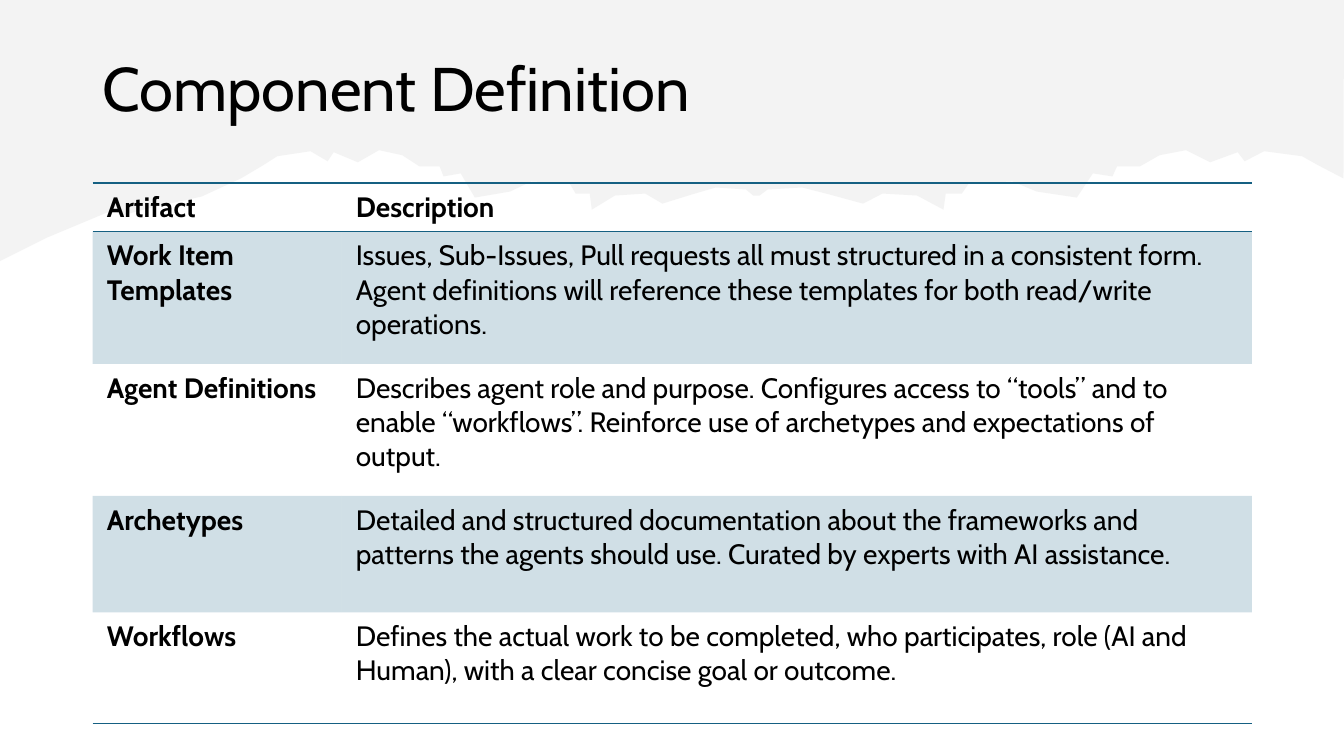
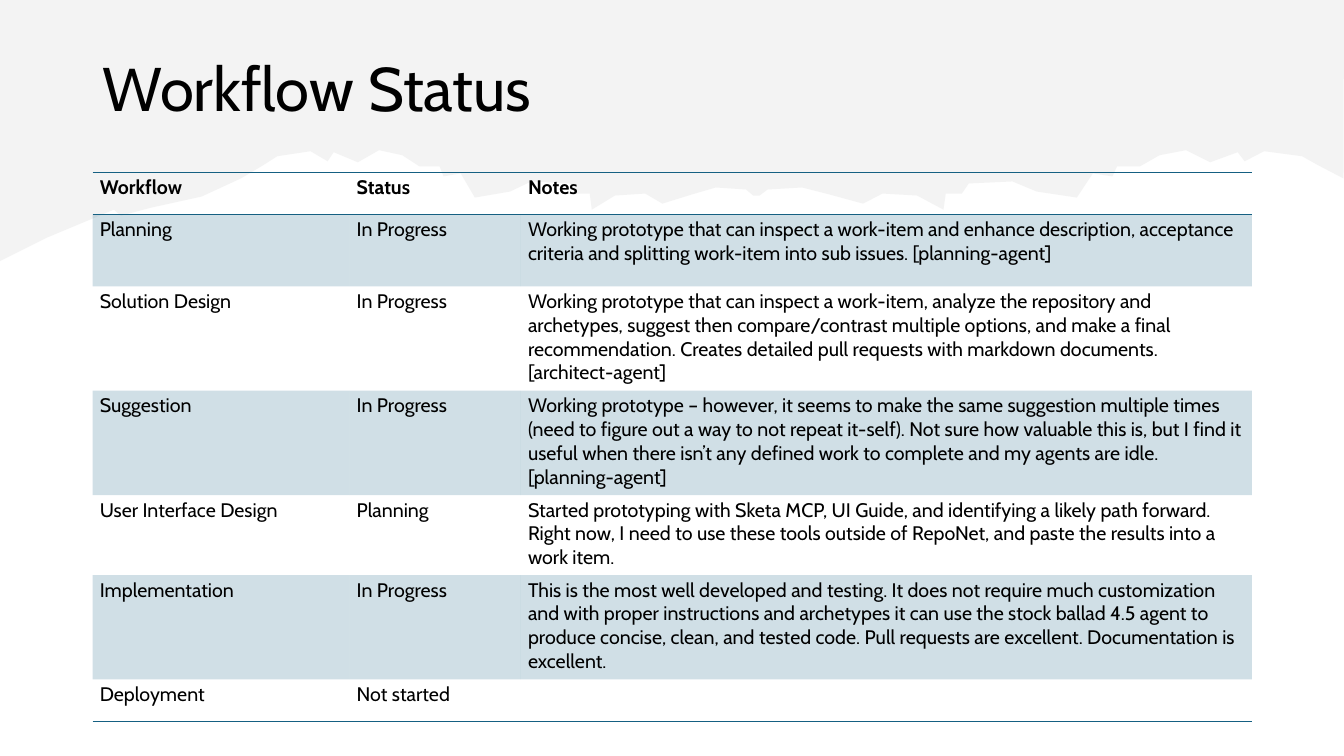
"""Build two table slides that share a torn-paper header."""
from lxml.etree import SubElement
from pptx import Presentation
from pptx.dml.color import RGBColor
from pptx.enum.text import MSO_ANCHOR
from pptx.oxml import parse_xml
from pptx.oxml.ns import nsdecls, qn
from pptx.util import Inches, Pt

SLIDE_WIDTH, SLIDE_HEIGHT = Inches(13.33), Inches(7.5)
LEFT, WIDTH = 6.9, 86.25
FONT = "Cabin"
COLORS = {"ink": "000000", "paper": "E8E8E8", "accent": "156082"}

SLOPE = [(0, 2.59), (0.46, 2.36), (1.13, 2.08), (1.2, 2.14), (1.5, 2.06), (2, 1.95)]
RIDGE = [
    (2.39, 1.77), (2.61, 1.64), (2.75, 1.55), (3.08, 1.5), (3.25, 1.6), (3.31, 1.51),
    (3.55, 1.61), (3.76, 1.49), (3.99, 1.54), (4.16, 1.65), (4.36, 1.65), (4.4, 1.75),
    (4.57, 1.72), (4.71, 1.96), (5.06, 1.9), (5.27, 1.8), (5.65, 1.82), (5.71, 1.92),
    (5.85, 1.92), (5.87, 2.08), (6.1, 1.94), (6.4, 1.92), (6.57, 2.02), (6.86, 1.93),
    (7.1, 1.86), (7.4, 1.88), (7.47, 1.94),
]
MIDDLE, STRETCH = 7.5, 1.14

COMPONENTS = [
    ("Artifact", "Description"),
    ("Work Item Templates",
     "Issues, Sub-Issues, Pull requests all must structured in a consistent form. "
     "Agent definitions will reference these templates for both read/write operations."),
    ("Agent Definitions",
     "Describes agent role and purpose. Configures access to “tools” and to enable "
     "“workflows”. Reinforce use of archetypes and expectations of output."),
    ("Archetypes",
     "Detailed and structured documentation about the frameworks and patterns the "
     "agents should use. Curated by experts with AI assistance."),
    ("Workflows",
     "Defines the actual work to be completed, who participates, role (AI and Human), "
     "with a clear concise goal or outcome."),
]

STATUSES = [
    ("Workflow", "Status", "Notes"),
    ("Planning", "In Progress",
     "Working prototype that can inspect a work-item and enhance description, "
     "acceptance criteria and splitting work-item into sub issues. [planning-agent]"),
    ("Solution Design", "In Progress",
     "Working prototype that can inspect a work-item, analyze the repository and "
     "archetypes, suggest then compare/contrast multiple options, and make a final "
     "recommendation. Creates detailed pull requests with markdown documents. "
     "[architect-agent]"),
    ("Suggestion", "In Progress",
     "Working prototype – however, it seems to make the same suggestion multiple times "
     "(need to figure out a way to not repeat it-self). Not sure how valuable this is, "
     "but I find it useful when there isn’t any defined work to complete and my agents "
     "are idle. [planning-agent]"),
    ("User Interface Design", "Planning",
     "Started prototyping with Sketa MCP, UI Guide, and identifying a likely path "
     "forward. Right now, I need to use these tools outside of RepoNet, and paste the "
     "results into a work item."),
    ("Implementation", "In Progress",
     "This is the most well developed and testing. It does not require much "
     "customization and with proper instructions and archetypes it can use the stock "
     "ballad 4.5 agent to produce concise, clean, and tested code. Pull requests are "
     "excellent. Documentation is excellent."),
    ("Deployment", "Not started", ""),
]


def across(percent):
    """Return a share of the slide's width."""
    return round(SLIDE_WIDTH * percent / 100)


def down(percent):
    """Return a share of the slide's height."""
    return round(SLIDE_HEIGHT * percent / 100)


def color(name):
    """Return a named colour."""
    return RGBColor.from_string(COLORS[name])


def paint(fill, element, name, opacity):
    """Give a fill a colour and an opacity in percent."""
    fill.solid()
    fill.fore_color.rgb = color(name)
    value = next(element.iter(qn("a:srgbClr")))
    SubElement(value, qn("a:alpha"), val=str(opacity * 1000))


def write(para, text, size, bold=False):
    """Put text in a paragraph in the deck's font."""
    para.font.name = FONT
    para.font.size = Pt(size)
    para.font.bold = bold
    para.font.color.rgb = color("ink")
    if text:
        para.add_run().text = text


def add_torn_paper(page):
    """Draw the grey band whose ragged edge mirrors, stretched, about its middle."""
    mirrored = [(MIDDLE + STRETCH * (MIDDLE - x), y) for x, y in reversed(RIDGE)]
    edge = [(Inches(x), Inches(y)) for x, y in SLOPE + RIDGE + mirrored]
    builder = page.shapes.build_freeform(0, 0, scale=1.0)
    builder.add_line_segments(edge + [(SLIDE_WIDTH, 0)], close=True)
    paper = builder.convert_to_shape()
    paint(paper.fill, paper._element.spPr, "paper", 50)
    paper.line.fill.background()
    paper.shadow.inherit = False


def add_title(page, text):
    """Write the slide title."""
    box = page.shapes.add_textbox(across(LEFT), down(5.33), across(WIDTH), down(13.6))
    frame = box.text_frame
    frame.word_wrap = True
    frame.vertical_anchor = MSO_ANCHOR.MIDDLE
    frame.paragraphs[0].line_spacing = 0.9
    write(frame.paragraphs[0], text, 44)


def set_borders(cell, ruled_sides):
    """Rule the named sides of a cell and clear the others."""
    for index, side in enumerate("LRTB"):
        ink = (f'<a:solidFill><a:srgbClr val="{COLORS["accent"]}"/></a:solidFill>'
               if side in ruled_sides else "<a:noFill/>")
        line = parse_xml(f'<a:ln{side} {nsdecls("a")} w="{Pt(1)}">{ink}</a:ln{side}>')
        cell._tc.tcPr.insert(index, line)


def fill_cell(cell, text, size, bold, margins, banded, ruled_sides):
    """Style one table cell and write its text."""
    cell.margin_left = cell.margin_right = Inches(margins[0])
    cell.margin_top = cell.margin_bottom = Inches(margins[1])
    write(cell.text_frame.paragraphs[0], text, size, bold)
    if banded:
        paint(cell.fill, cell._tc.tcPr, "accent", 20)
    else:
        cell.fill.background()
    set_borders(cell, ruled_sides)


def add_grid(page, rows, top, widths, heights, size, margins, bold_labels=False):
    """Add a banded table with rules around its header and at its foot."""
    frame = page.shapes.add_table(len(rows), len(widths), across(LEFT), down(top),
                                  across(sum(widths)), down(sum(heights)))
    table = frame.table
    table.first_row = table.horz_banding = False
    for column, width in zip(table.columns, widths):
        column.width = across(width)
    for index, (row, height, texts) in enumerate(zip(table.rows, heights, rows)):
        row.height = down(height)
        ruled_sides = ("T" if index < 2 else "") + ("B" if index in (0, len(rows) - 1) else "")
        for position, (cell, text) in enumerate(zip(row.cells, texts)):
            bold = index == 0 or (bold_labels and position == 0)
            fill_cell(cell, text, size, bold, margins, index % 2 == 1, ruled_sides)


def add_page(deck, title):
    """Add a blank slide with the shared header."""
    page = deck.slides.add_slide(deck.slide_layouts[6])
    add_torn_paper(page)
    add_title(page, title)
    return page


def main():
    """Build and save the deck."""
    deck = Presentation()
    deck.slide_width, deck.slide_height = SLIDE_WIDTH, SLIDE_HEIGHT
    add_grid(add_page(deck, "Component Definition"), COMPONENTS, top=24.2,
             widths=[18.53, 67.72], heights=[6.47, 17.47, 17.47, 15.4, 14.67],
             size=20, margins=(0.14, 0.07), bold_labels=True)
    add_grid(add_page(deck, "Workflow Status"), STATUSES, top=22.8,
             widths=[19.12, 12.75, 54.38],
             heights=[5.6, 9.5, 13.8, 13.8, 10.6, 13.8, 5.6],
             size=14, margins=(0.07, 0.03))
    deck.save("out.pptx")


if __name__ == "__main__":
    main()
